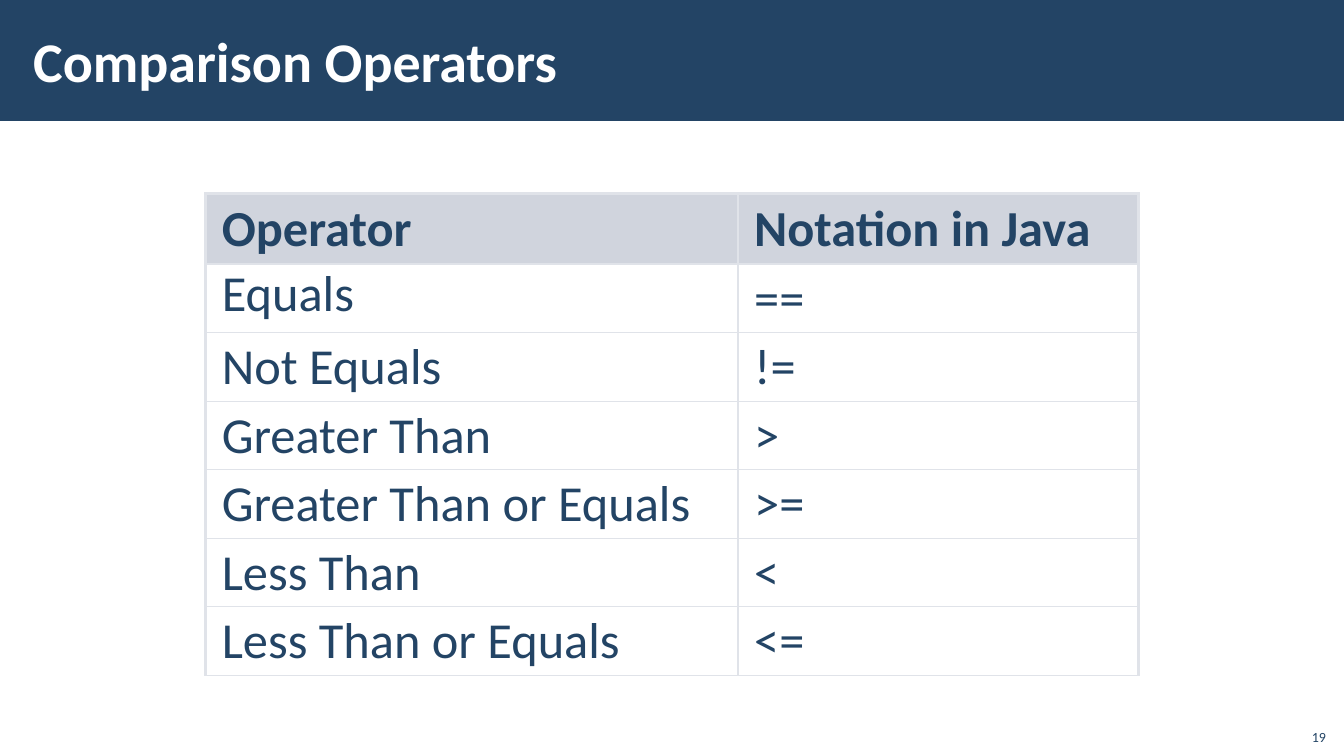
import dataclasses

import pptx
import pptx.dml.color
import pptx.enum.shapes
import pptx.enum.text
import pptx.oxml
import pptx.oxml.ns
import pptx.shapes.autoshape
import pptx.table
import pptx.text.text
import pptx.util

Inches = pptx.util.Inches
Pt = pptx.util.Pt
RGBColor = pptx.dml.color.RGBColor
Anchor = pptx.enum.text.MSO_ANCHOR
Align = pptx.enum.text.PP_ALIGN

NAVY = RGBColor(0x23, 0x44, 0x65)
WHITE = RGBColor(0xFF, 0xFF, 0xFF)
SLATE = RGBColor(0xA3, 0xAB, 0xBC)
MIST = RGBColor(0xE0, 0xE3, 0xE9)
THICK, THIN = 2.25, 1


@dataclasses.dataclass
class Entry:
    name: str
    sign: str
    line: float | pptx.util.Length = 0.95
    gap: float = 0


@dataclasses.dataclass
class Label:
    text: str
    box: tuple[float, float, float, float]
    size: float
    color: RGBColor
    bold: bool
    align: Align
    anchor: Anchor
    inset: tuple[float, float]


ENTRIES = [
    Entry("Operator", "Notation in Java"),
    Entry("Equals", "==", Pt(38), 6),
    Entry("Not Equals", "!="),
    Entry("Greater Than", ">"),
    Entry("Greater Than or Equals", ">="),
    Entry("Less Than", "<"),
    Entry("Less Than or Equals", "<="),
]
LABELS = [
    Label("Comparison Operators", (0.21, 0.11, 10.63, 0.97), 40, WHITE, True,
          Align.LEFT, Anchor.MIDDLE, (0.12, 0.04)),
    Label("19", (12.85, 7.12, 0.4, 0.32), 10, NAVY, False,
          Align.RIGHT, Anchor.BOTTOM, (0.1, 0.05)),
]


def write(frame: pptx.text.text.TextFrame, text: str, *, size: float,
          color: RGBColor = NAVY, bold: bool = False, align: Align = Align.LEFT,
          line: float | pptx.util.Length = 1.0, gap: float = 0) -> None:
    para = frame.paragraphs[0]
    para.alignment = align
    para.line_spacing = line
    para.space_before = para.space_after = Pt(gap)
    run = para.add_run()
    run.text = text
    font = run.font
    font.name, font.size, font.bold = "Calibri", Pt(size), bold
    font.color.rgb = color


def edge(cell: pptx.table._Cell, **widths: float) -> None:
    """Draw the cell borders; the sides must come in the order L, R, T, B."""
    props = cell._tc.get_or_add_tcPr()
    for side, width in widths.items():
        props.append(pptx.oxml.parse_xml(
            f'<a:ln{side} {pptx.oxml.ns.nsdecls("a")} w="{Pt(width)}">'
            f'<a:solidFill><a:srgbClr val="{MIST}"/></a:solidFill></a:ln{side}>'))


def shade(cell: pptx.table._Cell) -> None:
    """Fill the cell with half transparent slate."""
    cell.fill.solid()
    cell.fill.fore_color.rgb = SLATE
    tint = cell._tc.tcPr.find(".//" + pptx.oxml.ns.qn("a:srgbClr") + f"[@val='{SLATE}']")
    tint.append(pptx.oxml.parse_xml(
        f'<a:alpha {pptx.oxml.ns.nsdecls("a")} val="50000"/>'))


def add_band(slide: pptx.slide.Slide) -> None:
    band = slide.shapes.add_shape(pptx.enum.shapes.MSO_SHAPE.RECTANGLE,
                                  0, 0, Inches(13.33), Inches(1.2))
    band.shadow.inherit = False
    band.fill.solid()
    band.fill.fore_color.rgb = NAVY
    band.line.fill.background()


def add_label(slide: pptx.slide.Slide, label: Label) -> None:
    frame = slide.shapes.add_textbox(*map(Inches, label.box)).text_frame
    frame.word_wrap = True
    frame.vertical_anchor = label.anchor
    frame.margin_left = frame.margin_right = Inches(label.inset[0])
    frame.margin_top = frame.margin_bottom = Inches(label.inset[1])
    write(frame, label.text, size=label.size, color=label.color,
          bold=label.bold, align=label.align)


def add_grid(slide: pptx.slide.Slide) -> None:
    grid = slide.shapes.add_table(len(ENTRIES), 2, Inches(2.04), Inches(1.92),
                                  Inches(9.25), Inches(4.78)).table
    grid.first_row = grid.horz_banding = False
    for col, width in zip(grid.columns, (5.28, 3.97)):
        col.width = Inches(width)
    for i, entry in enumerate(ENTRIES):
        head = i == 0
        grid.rows[i].height = Inches(0.7 if head else 0.68)
        for j, text in enumerate((entry.name, entry.sign)):
            cell = grid.cell(i, j)
            cell.vertical_anchor = Anchor.MIDDLE
            cell.margin_left = cell.margin_right = Inches(0.16)
            cell.margin_top = cell.margin_bottom = Inches(0.05)
            edge(cell, L=THIN if j else THICK, R=THICK if j else THIN,
                 T=THICK if i < 2 else THIN, B=THICK if head else THIN)
            if head:
                shade(cell)
            else:
                cell.fill.background()
            write(cell.text_frame, text, size=36, bold=head,
                  line=0.95 if j else entry.line, gap=0 if j else entry.gap)


def main() -> None:
    deck = pptx.Presentation()
    deck.slide_width, deck.slide_height = Inches(13.33), Inches(7.5)
    slide = deck.slides.add_slide(deck.slide_layouts[6])
    add_band(slide)
    for label in LABELS:
        add_label(slide, label)
    add_grid(slide)
    deck.save("out.pptx")


if __name__ == "__main__":
    main()
